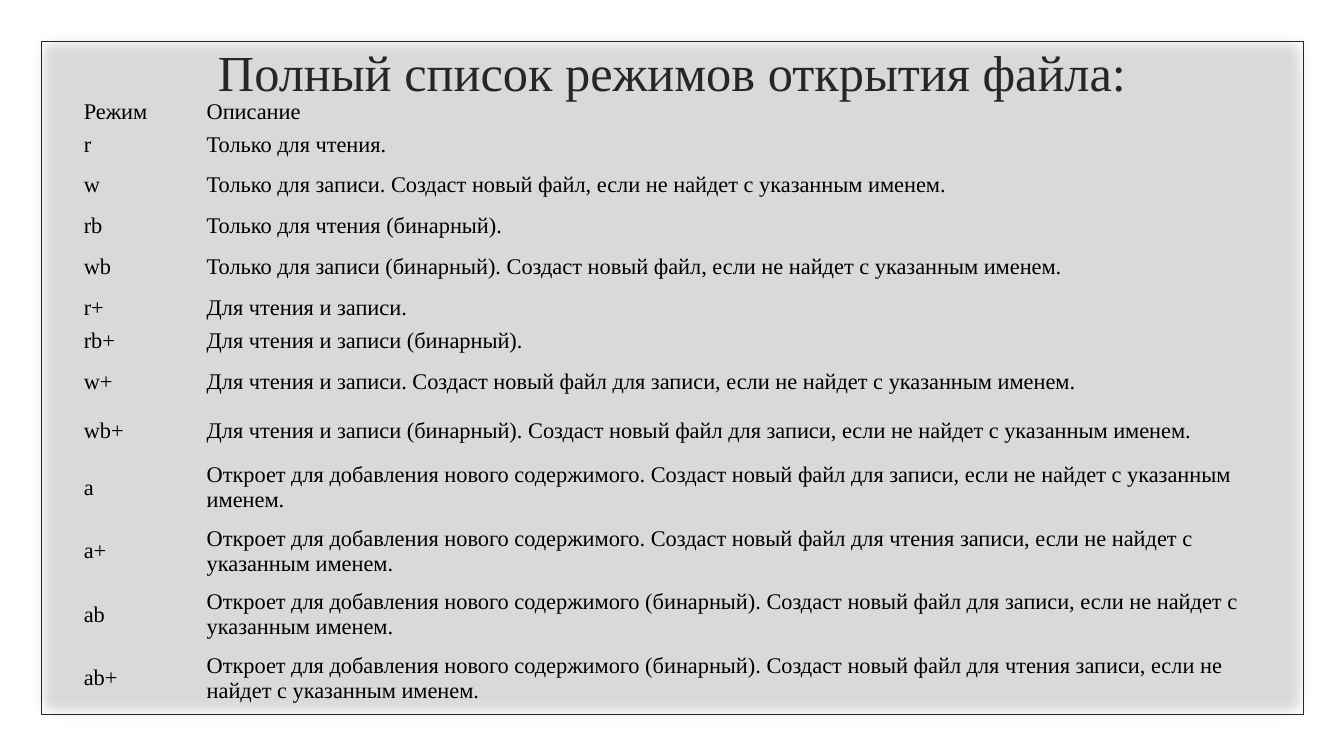
from lxml import etree
from pptx import Presentation
from pptx import util as u
from pptx.dml import color
from pptx.enum import shapes, text
from pptx.oxml import ns

COLORS = {"panel": "BFBFBF", "ink": "262626", "body": "000000", "grid": "DCDCDC"}
FONT = "Times New Roman"
COLUMN_WIDTHS = (87.8, 758.2)
SHORT, MEDIUM, TALL = 14.4, 35.3, 45.4
CREATES = "Создаст новый файл"
MISSING = "если не найдет с указанным именем."
APPENDS = "Откроет для добавления нового содержимого"
MODES = [
    ("Режим", "Описание", SHORT),
    ("r", "Только для чтения.", SHORT),
    ("w", f"Только для записи. {CREATES}, {MISSING}", MEDIUM),
    ("rb", "Только для чтения (бинарный).", SHORT),
    ("wb", f"Только для записи (бинарный). {CREATES}, {MISSING}", MEDIUM),
    ("r+", "Для чтения и записи.", SHORT),
    ("rb+", "Для чтения и записи (бинарный).", SHORT),
    ("w+", f"Для чтения и записи. {CREATES} для записи, {MISSING}", MEDIUM),
    ("wb+", f"Для чтения и записи (бинарный). {CREATES} для записи, {MISSING}", MEDIUM),
    ("a", f"{APPENDS}. {CREATES} для записи, {MISSING}", TALL),
    ("a+", f"{APPENDS}. {CREATES} для чтения записи, {MISSING}", TALL),
    ("ab", f"{APPENDS} (бинарный). {CREATES} для записи, {MISSING}", TALL),
    ("ab+", f"{APPENDS} (бинарный). {CREATES} для чтения записи, {MISSING}", TALL),
]


def rgb(name):
    return color.RGBColor.from_string(COLORS[name])


def add_xml(parent, tag, **attributes):
    return etree.SubElement(parent, ns.qn(tag), attributes)


def write(frame, words, size, ink, align=None, spacing=None):
    para = frame.paragraphs[0]
    para.alignment = align
    para.line_spacing = spacing
    span = para.add_run()
    span.text = words
    span.font.size = u.Pt(size)
    span.font.name = FONT
    span.font.color.rgb = rgb(ink)


def add_rectangle(slide, left, top, width, height):
    box = slide.shapes.add_shape(
        shapes.MSO_SHAPE.RECTANGLE, u.Pt(left), u.Pt(top), u.Pt(width), u.Pt(height))
    box.shadow.inherit = False
    return box


def add_soft_panel(slide):
    """Translucent grey panel with feathered edges."""
    panel = add_rectangle(slide, 18.7, 18.7, 923, 502.6)
    panel.fill.solid()
    panel.fill.fore_color.rgb = rgb("panel")
    panel.line.fill.background()
    properties = panel.element.spPr
    tint = properties.find(ns.qn("a:solidFill")).find(ns.qn("a:srgbClr"))
    add_xml(tint, "a:alpha", val="59000")
    effects = properties.find(ns.qn("a:effectLst"))
    add_xml(effects, "a:softEdge", rad=str(u.Pt(10)))


def add_frame(slide):
    frame = add_rectangle(slide, 29.5, 29.5, 901.4, 481)
    frame.fill.background()
    frame.line.color.rgb = rgb("ink")
    frame.line.width = u.Pt(0.5)


def add_title(slide, words):
    box = slide.shapes.add_textbox(u.Pt(84.2), u.Pt(0), u.Pt(792), u.Pt(108))
    box.text_frame.word_wrap = True
    box.text_frame.vertical_anchor = text.MSO_ANCHOR.MIDDLE
    write(box.text_frame, words, 36, "ink", text.PP_ALIGN.CENTER, 0.9)


def set_borders(cell, sides):
    """Draw a grid line on each side marked True, and none on the others."""
    properties = cell._tc.get_or_add_tcPr()
    for place, (side, drawn) in enumerate(sides.items()):
        line = add_xml(properties, f"a:ln{side}", w=str(u.Pt(0.6)))
        if drawn:
            fill = add_xml(line, "a:solidFill")
            add_xml(fill, "a:srgbClr", val=COLORS["grid"])
        else:
            add_xml(line, "a:noFill")
        properties.insert(place, line)


def add_modes_table(slide):
    last = len(MODES) - 1
    table = slide.shapes.add_table(
        len(MODES), len(COLUMN_WIDTHS), u.Pt(56.9), u.Pt(68.4),
        u.Pt(sum(COLUMN_WIDTHS)), u.Pt(sum(mode[-1] for mode in MODES))).table
    table.first_row = table.horz_banding = False
    for column, width in zip(table.columns, COLUMN_WIDTHS):
        column.width = u.Pt(width)
    for row, (*words, height) in enumerate(MODES):
        table.rows[row].height = u.Pt(height)
        for column, entry in enumerate(words):
            cell = table.cell(row, column)
            cell.fill.background()
            cell.vertical_anchor = text.MSO_ANCHOR.MIDDLE
            cell.margin_left = cell.margin_right = u.Pt(3)
            cell.margin_top = cell.margin_bottom = u.Pt(2)
            write(cell.text_frame, entry, 16, "body")
            set_borders(cell, {"L": column > 0, "R": column == 0,
                               "T": row > 0, "B": row < last})


def main():
    deck = Presentation()
    deck.slide_width, deck.slide_height = u.Pt(960), u.Pt(540)
    slide = deck.slides.add_slide(deck.slide_layouts[6])
    add_soft_panel(slide)
    add_frame(slide)
    add_title(slide, "Полный список режимов открытия файла:")
    add_modes_table(slide)
    deck.save("out.pptx")


if __name__ == "__main__":
    main()
